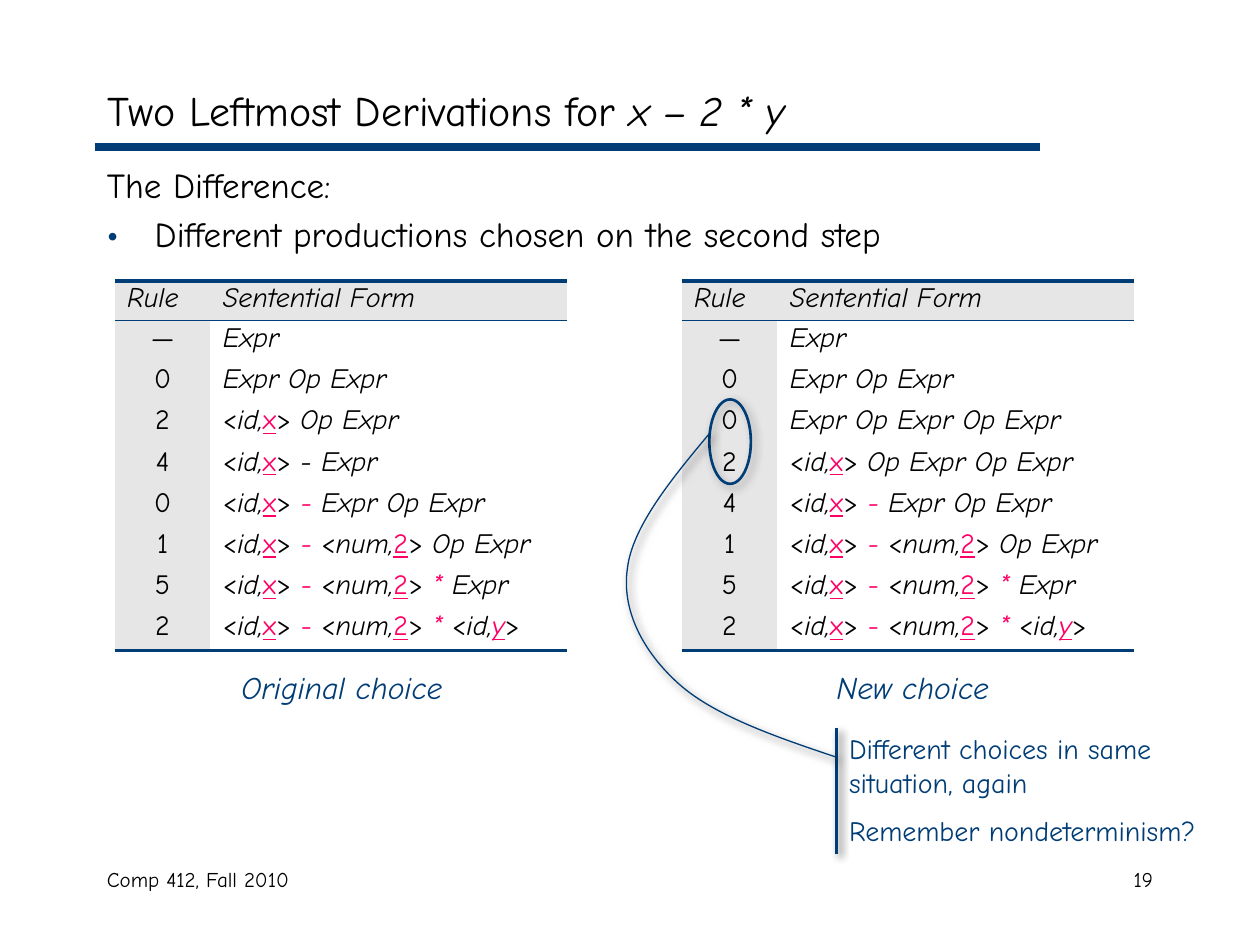
from lxml import etree
from pptx import Presentation
from pptx.dml.color import RGBColor
from pptx.enum.shapes import MSO_CONNECTOR, MSO_SHAPE
from pptx.enum.text import MSO_ANCHOR, PP_ALIGN
from pptx.oxml.ns import qn
from pptx.util import Inches, Pt

LEFT, CENTER, RIGHT = PP_ALIGN.LEFT, PP_ALIGN.CENTER, PP_ALIGN.RIGHT
FONT = "Comic Neue"
COLORS = {"navy": "003C75", "pink": "FF0065", "black": "000000",
          "gray": "E6E6E6", "shadow": "808080"}

# Run styles: (italic, underlined, colour)
STYLES = {
    "plain": (False, False, "black"),
    "italic": (True, False, "black"),
    "operator": (True, False, "pink"),
    "lexeme": (False, True, "pink"),
    "italic lexeme": (True, True, "pink"),
    "note": (False, False, "navy"),
    "caption": (True, False, "navy"),
}


def token(kind, lexeme, closing=">", lexeme_style="lexeme"):
    return [("<", "plain"), (kind + ",", "italic"),
            (lexeme, lexeme_style), (closing, "plain")]


def italic(text):
    return [(text, "italic")]


ID_X = token("id", "x")
X_MINUS = token("id", "x", "> ") + [("- ", "operator")]
X_MINUS_EXPR_OP_EXPR = (token("id", "x", "> ") + [("-", "operator")]
                        + italic(" Expr Op Expr"))
FIRST_STEPS = [("—", italic("Expr")), ("0", italic("Expr Op Expr"))]
LAST_STEPS = [
    ("1", X_MINUS + token("num", "2") + italic(" Op Expr")),
    ("5", X_MINUS + token("num", "2", "> ") + [("*", "operator")]
     + italic(" Expr")),
    ("2", X_MINUS + token("num", "2", "> ") + [("* ", "operator")]
     + token("id", "y", lexeme_style="italic lexeme")),
]
ORIGINAL_STEPS = FIRST_STEPS + [
    ("2", ID_X + italic(" Op Expr")),
    ("4", ID_X + italic(" - Expr")),
    ("0", X_MINUS_EXPR_OP_EXPR),
] + LAST_STEPS
NEW_STEPS = FIRST_STEPS + [
    ("0", italic("Expr Op Expr Op Expr")),
    ("2", ID_X + italic(" Op Expr Op Expr")),
    ("4", X_MINUS_EXPR_OP_EXPR),
] + LAST_STEPS


def rgb(color):
    return RGBColor.from_string(COLORS[color])


def add_runs(paragraph, runs, size):
    for text, style in runs:
        run = paragraph.add_run()
        run.text = text
        font = run.font
        font.name, font.size = FONT, Pt(size)
        font.italic, font.underline, color = STYLES[style]
        font.color.rgb = rgb(color)


def add_text(shapes, box, lines, size, style="plain", align=LEFT, space=0):
    """Add a text box with one paragraph per line, space points apart."""
    frame = shapes.add_textbox(*map(Inches, box)).text_frame
    frame.word_wrap = True
    for index, line in enumerate(lines):
        paragraph = frame.add_paragraph() if index else frame.paragraphs[0]
        paragraph.alignment = align
        if index:
            paragraph.space_before = Pt(space)
        add_runs(paragraph, [(line, style)], size)
    return frame


def add_bullet(paragraph, indent):
    properties = paragraph._p.get_or_add_pPr()
    properties.set("marL", str(Inches(indent)))
    properties.set("indent", str(-Inches(indent)))
    color = etree.SubElement(properties, qn("a:buClr"))
    etree.SubElement(color, qn("a:srgbClr"), val=COLORS["navy"])
    etree.SubElement(properties, qn("a:buSzPct"), val="120000")
    etree.SubElement(properties, qn("a:buFont"), typeface=FONT)
    etree.SubElement(properties, qn("a:buChar"), char="•")


def set_borders(cell, top, bottom):
    """Draw top and bottom borders of the given widths; 0 means none."""
    properties = cell._tc.get_or_add_tcPr()
    for side, width in (("L", 0), ("R", 0), ("T", top), ("B", bottom)):
        line = etree.SubElement(properties, qn("a:ln" + side), w=str(Pt(width)))
        if width:
            fill = etree.SubElement(line, qn("a:solidFill"))
            etree.SubElement(fill, qn("a:srgbClr"), val=COLORS["navy"])
        else:
            etree.SubElement(line, qn("a:noFill"))


def add_derivation(slide, left, steps):
    rows = [("Rule", italic("Sentential Form"))] + steps
    header_height, height = 0.31, 2.93
    table = slide.shapes.add_table(
        len(rows), 2, Inches(left), Inches(2.23), Inches(3.59), Inches(height)).table
    table.first_row = table.horz_banding = False
    table.columns[0].width, table.columns[1].width = Inches(0.76), Inches(2.83)
    last = len(rows) - 1
    for index, (rule, form) in enumerate(rows):
        header = index == 0
        table.rows[index].height = Inches(
            header_height if header else (height - header_height) / last)
        top = {0: 2.25, 1: 1}.get(index, 0)
        bottom = {0: 1, last: 2.25}.get(index, 0)
        rule_runs = [(rule, "italic" if header else "plain")]
        for column, runs in enumerate((rule_runs, form)):
            cell = table.cell(index, column)
            set_borders(cell, top, bottom)
            if header or column == 0:
                cell.fill.solid()
                cell.fill.fore_color.rgb = rgb("gray")
            else:
                cell.fill.background()
            paragraph = cell.text_frame.paragraphs[0]
            paragraph.alignment = LEFT if header or column else CENTER
            paragraph.line_spacing = 0.8
            add_runs(paragraph, runs, 16)


def style_line(shape, width, shadow=None):
    shape.line.color.rgb = rgb("navy")
    shape.line.width = Pt(width)
    effects = etree.SubElement(shape._element.spPr, qn("a:effectLst"))
    if shadow:
        outer = etree.SubElement(
            effects, qn("a:outerShdw"), blurRad=str(Pt(5)), dist=str(Pt(3)),
            dir=str(45 * 60000), algn="ctr", rotWithShape="0")
        color = etree.SubElement(outer, qn("a:srgbClr"), val=COLORS[shadow])
        etree.SubElement(color, qn("a:alpha"), val="75000")


def add_line(shapes, start, end, width, shadow=None):
    line = shapes.add_connector(
        MSO_CONNECTOR.STRAIGHT, *map(Inches, start + end))
    style_line(line, width, shadow)


def add_curve(shapes, start, controls, width, shadow):
    """Draw a Bezier curve; each three control points make one segment."""
    builder = shapes.build_freeform(*map(Inches, start))
    builder.add_line_segments(
        [(Inches(x), Inches(y)) for x, y in controls], close=False)
    curve = builder.convert_to_shape()
    segments = list(curve._element.iter(qn("a:lnTo")))
    for first in range(0, len(segments), 3):
        bezier = etree.Element(qn("a:cubicBezTo"))
        segments[first].addprevious(bezier)
        for segment in segments[first:first + 3]:
            bezier.append(segment[0])
            segment.getparent().remove(segment)
    curve.fill.background()
    style_line(curve, width, shadow)


def add_title(slide):
    title = slide.shapes.title
    title.left, title.top, title.width, title.height = map(
        Inches, (0.75, 0.58, 8.5, 0.58))
    title.text_frame.vertical_anchor = MSO_ANCHOR.MIDDLE
    paragraph = title.text_frame.paragraphs[0]
    paragraph.alignment = LEFT
    add_runs(paragraph, [("Two Leftmost Derivations for ", "plain"),
                         ("x – 2 * y", "italic")], 24)


def add_callout(slide):
    shapes = slide.shapes.add_group_shape().shapes
    ellipse = shapes.add_shape(
        MSO_SHAPE.OVAL, *map(Inches, (5.63, 3.17, 0.33, 0.67)))
    ellipse.fill.background()
    style_line(ellipse, 1.5, "shadow")
    add_text(shapes, (6.64, 5.76, 3.17, 1.04),
             ["Different choices in same situation, again",
              "Remember nondeterminism?"], 16, "note", space=8)
    add_line(shapes, (6.64, 5.78), (6.64, 6.78), 1.5, "black")
    add_curve(shapes, (6.64, 6.01),
              [(6.16, 5.85), (5.67, 5.68), (5.39, 5.43),
               (5.11, 5.18), (4.93, 4.85), (4.98, 4.51),
               (5.02, 4.18), (5.33, 3.8), (5.64, 3.43)], 0.75, "black")


def main():
    presentation = Presentation()
    presentation.slide_width, presentation.slide_height = Inches(10), Inches(7.5)
    slide = presentation.slides.add_slide(presentation.slide_layouts[5])
    shapes = slide.shapes
    add_title(slide)
    add_line(shapes, (0.75, 1.17), (8.25, 1.17), 4.5)
    add_text(shapes, (0.75, 6.83, 3.17, 0.5), ["Comp 412, Fall 2010"], 12)
    add_text(shapes, (7.17, 6.83, 2.08, 0.5), ["19"], 12, align=RIGHT)
    body = add_text(shapes, (0.75, 1.25, 8.5, 5.42),
                    ["The Difference:",
                     "Different productions chosen on the second step"],
                    20, space=4)
    add_bullet(body.paragraphs[1], 0.38)
    for left, caption_left, caption, steps in (
            (0.91, 1.05, "Original choice", ORIGINAL_STEPS),
            (5.41, 5.58, "New choice", NEW_STEPS)):
        add_derivation(slide, left, steps)
        add_text(shapes, (caption_left, 5.25, 3.33, 0.4), [caption], 18,
                 "caption", CENTER)
    add_callout(slide)
    presentation.save("out.pptx")


if __name__ == "__main__":
    main()
